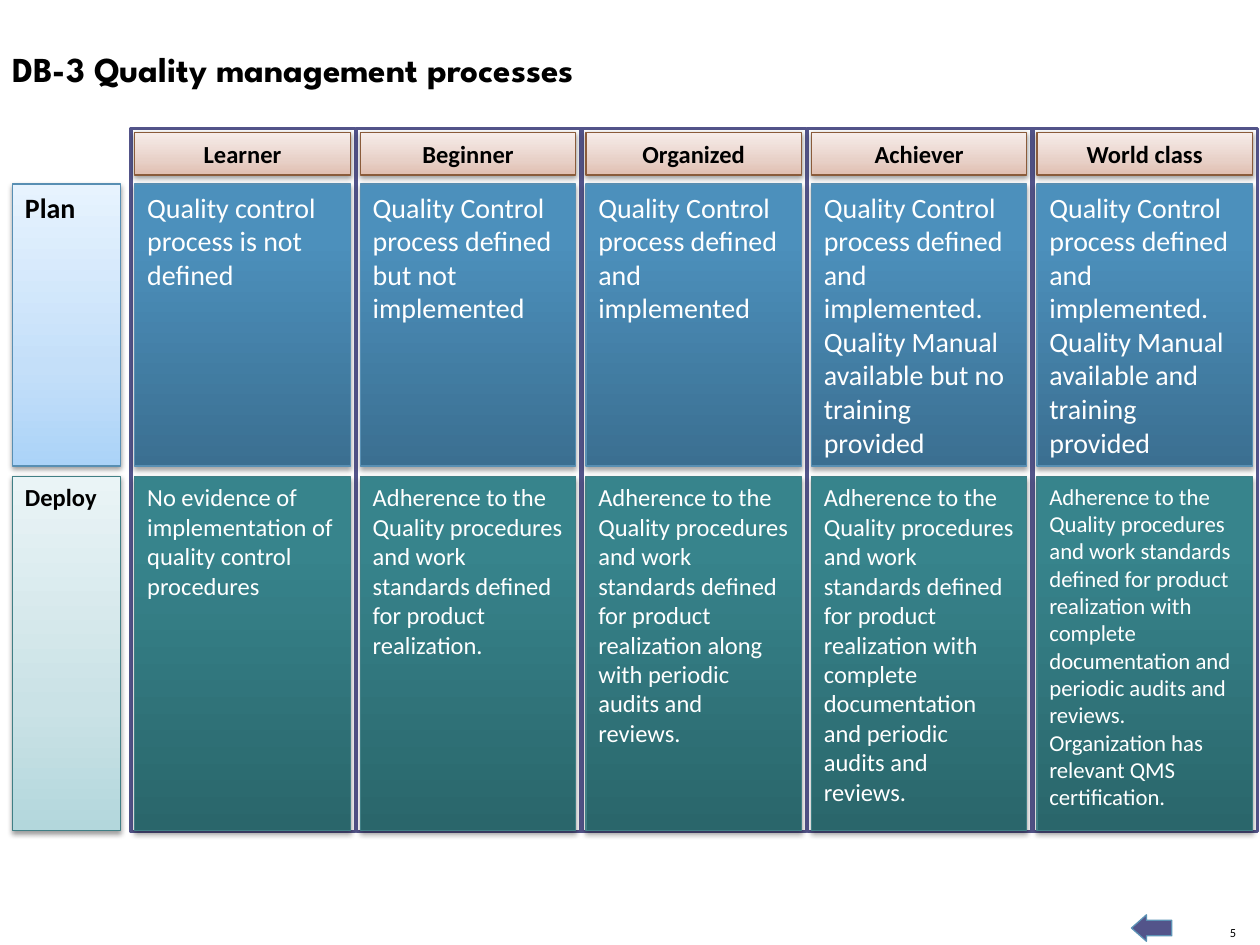
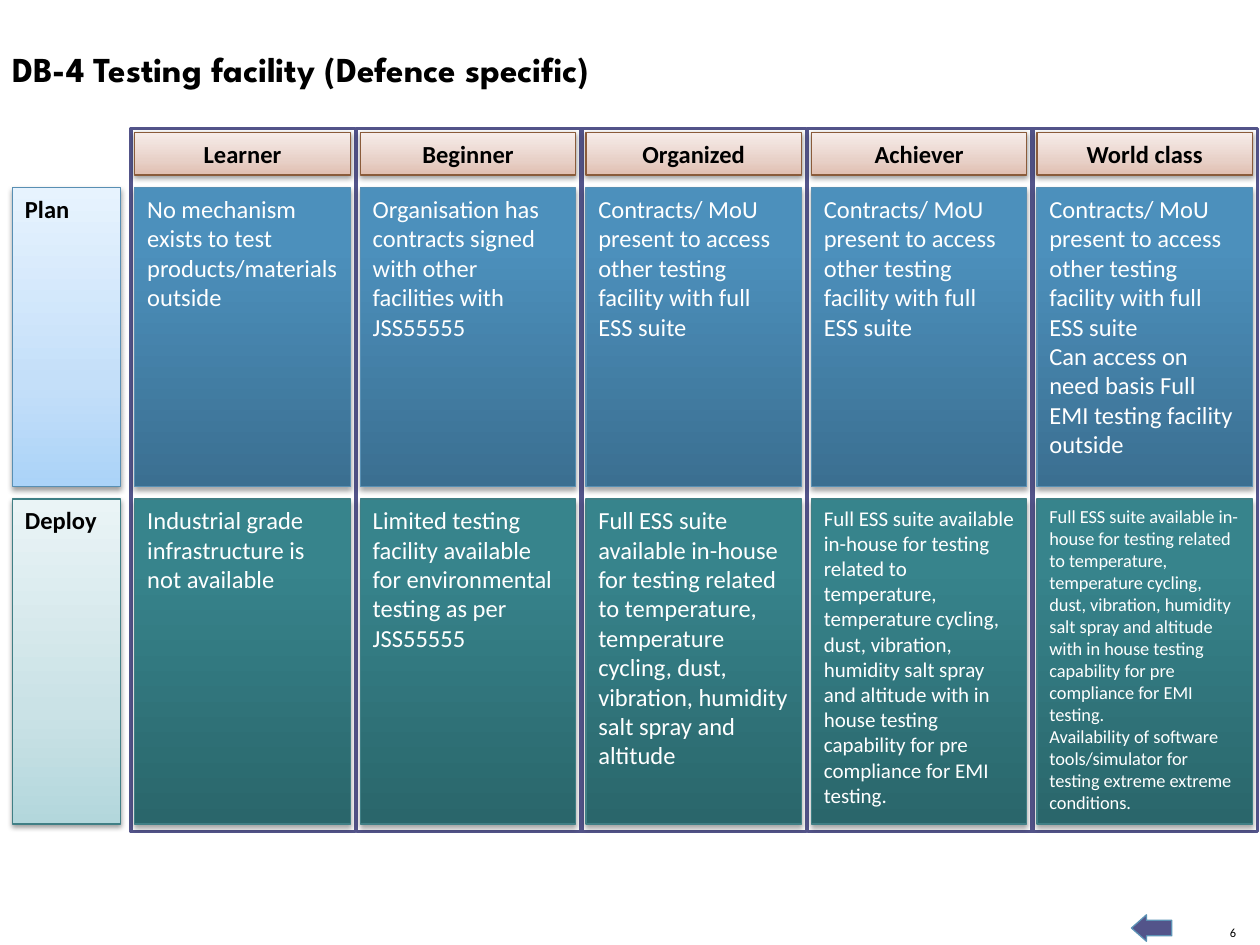
from dataclasses import dataclass
from typing import NamedTuple

from lxml import etree
from pptx import Presentation
from pptx.dml.color import RGBColor
from pptx.enum.shapes import MSO_SHAPE
from pptx.enum.text import MSO_ANCHOR, MSO_AUTO_SIZE, PP_ALIGN
from pptx.oxml.ns import qn
from pptx.util import Inches, Pt

RECT, ARROW = MSO_SHAPE.RECTANGLE, MSO_SHAPE.RIGHT_ARROW
LEFT, CENTER, RIGHT = PP_ALIGN.LEFT, PP_ALIGN.CENTER, PP_ALIGN.RIGHT
TOP, MIDDLE, BOTTOM = MSO_ANCHOR.TOP, MSO_ANCHOR.MIDDLE, MSO_ANCHOR.BOTTOM
GROW = MSO_AUTO_SIZE.SHAPE_TO_FIT_TEXT


class Look(NamedTuple):
    """Gradient stops from the bottom up, with outline and shadow."""
    stops: tuple
    line: str
    alpha: int = 38
    drop: float = 1.6


@dataclass(frozen=True)
class Theme:
    body: str = "Calibri"
    head: str = "League Spartan"
    black: str = "000000"
    white: str = "FFFFFF"
    frame: str = "53548A"
    edge: str = "5C92B5"
    title_size: float = 20
    text_size: float = 14
    page_size: float = 7.1
    thin: float = 0.75
    thick: float = 2
    blur: float = 3.1
    level: Look = Look(((0, "E0BEB0"), (35, "E8D1C8"), (100, "F7EDEA")), "8A5B3A")
    plan_tag: Look = Look(((0, "ABD3F8"), (35, "C4DFF9"), (100, "E7F3FE")), "588FB3")
    plan: Look = Look(((0, "3B6F91"), (80, "4C90BC"), (100, "4A91BF")), "588FB3", 35, 1.8)
    deploy_tag: Look = Look(((0, "B3D7DC"), (35, "CAE2E6"), (100, "EAF4F6")), "407F85")
    deploy: Look = Look(((0, "2A666B"), (80, "37848C"), (100, "36868E")), "407F85", 35, 1.8)


THEME = Theme()


class Box(NamedTuple):
    x: float
    y: float
    w: float
    h: float

    def lengths(self) -> tuple:
        return tuple(Inches(side) for side in self)


class Cell(NamedTuple):
    text: str
    size: float = THEME.text_size


@dataclass
class Row:
    tag: Cell
    y: float
    h: float
    cells: list


@dataclass
class Page:
    number: int
    title: str
    plan: Row
    deploy: Row


# Shared grid
LEVELS = ("Learner", "Beginner", "Organized", "Achiever", "World class")
FIRST, STEP, WIDE = 1.07, 1.79, 1.71
TAG_X, TAG_W = 0.1, 0.86
FRAME = Box(1.04, 1.02, 1.78, 5.58)


def column(i: int, y: float, h: float) -> Box:
    return Box(FIRST + i * STEP, y, WIDE, h)


def write(shape, text: str, *, size: float = THEME.text_size, font: str = THEME.body,
          color: str = THEME.black, bold: bool = False, align=LEFT, anchor=TOP,
          wrap: bool = True, inset: bool = True, fit=None) -> None:
    frame = shape.text_frame
    frame.word_wrap, frame.vertical_anchor = wrap, anchor
    if fit is not None:
        frame.auto_size = fit
    if not inset:
        frame.margin_left = frame.margin_right = 0
        frame.margin_top = frame.margin_bottom = 0
    for i, part in enumerate(text.split("\n")):
        para = frame.add_paragraph() if i else frame.paragraphs[0]
        para.alignment = align
        run = para.add_run()
        run.text = part
        run.font.name, run.font.size, run.font.bold = font, Pt(size), bold
        run.font.color.rgb = RGBColor.from_string(color)


def add_color(parent, color: str):
    return etree.SubElement(parent, qn("a:srgbClr"), val=color)


def draw_shape(slide, kind, box: Box, line: str, width: float = THEME.thin,
               fill: str = THEME.white):
    shape = slide.shapes.add_shape(kind, *box.lengths())
    shape.shadow.inherit = False
    shape.fill.solid()
    shape.fill.fore_color.rgb = RGBColor.from_string(fill)
    shape.line.color.rgb = RGBColor.from_string(line)
    shape.line.width = Pt(width)
    return shape


def draw_card(slide, box: Box, look: Look):
    shape = draw_shape(slide, RECT, box, look.line)
    # Three-stop gradient
    shape.fill.gradient()
    shape.fill.gradient_angle = 90
    stops = shape.element.spPr.find(".//" + qn("a:gsLst"))
    for old in list(stops):
        stops.remove(old)
    for place, color in look.stops:
        add_color(etree.SubElement(stops, qn("a:gs"), pos=str(place * 1000)), color)
    # Soft shadow straight below
    effects = shape.element.spPr.find(qn("a:effectLst"))
    shade = etree.SubElement(effects, qn("a:outerShdw"), blurRad=str(Pt(THEME.blur)),
                             dist=str(Pt(look.drop)), dir="5400000", rotWithShape="0")
    tint = add_color(shade, THEME.black)
    etree.SubElement(tint, qn("a:alpha"), val=str(look.alpha * 1000))
    return shape


def draw_base(slide, page: Page) -> None:
    # Page number, back arrow and title
    number = slide.shapes.add_textbox(*Box(9.69, 7.34, 0.12, 0.12).lengths())
    write(number, str(page.number), size=THEME.page_size, align=RIGHT, anchor=BOTTOM,
          wrap=False, inset=False, fit=GROW)
    arrow = draw_shape(slide, ARROW, Box(8.98, 7.26, 0.32, 0.21), THEME.edge,
                       fill=THEME.frame)
    arrow.rotation = 180
    arrow.adjustments[0], arrow.adjustments[1] = 0.588, 0.565
    title = slide.shapes.add_textbox(*Box(0, 0.33, 8.6, 0.44).lengths())
    write(title, page.title, size=THEME.title_size, font=THEME.head, bold=True, fit=GROW)


def draw_page(deck, page: Page) -> None:
    slide = deck.slides.add_slide(deck.slide_layouts[6])
    draw_base(slide, page)
    # Row tags
    rows = ((page.plan, THEME.plan_tag, THEME.plan),
            (page.deploy, THEME.deploy_tag, THEME.deploy))
    for row, look, _ in rows:
        tag = draw_card(slide, Box(TAG_X, row.y, TAG_W, row.h), look)
        write(tag, row.tag.text, size=row.tag.size, bold=True)
    # Column frames
    for i in range(len(LEVELS)):
        draw_shape(slide, RECT, FRAME._replace(x=FRAME.x + i * STEP),
                   THEME.frame, THEME.thick)
    # Cells
    for row, _, look in rows:
        for i, cell in enumerate(row.cells):
            card = draw_card(slide, column(i, row.y, row.h), look)
            write(card, cell.text, size=cell.size, color=THEME.white)
    # Level heads
    for i, level in enumerate(LEVELS):
        head = draw_card(slide, column(i, 1.05, 0.34), THEME.level)
        write(head, level, bold=True, align=CENTER, anchor=MIDDLE)


# Wording that several cells share
QC = "Quality Control process defined"
MANUAL = QC + " and implemented. Quality Manual available"
ADHERE = ("Adherence to the Quality procedures and work standards defined "
          "for product realization")
AUDITS = ADHERE + " with complete documentation and periodic audits and reviews."
ACCESS = "Contracts/ MoU present to access other testing facility with full ESS suite"
SUITE = ("Full ESS suite available in-house for testing related to temperature, "
         "temperature cycling, dust, vibration, humidity salt spray and altitude")
EMI = SUITE + " with in house testing capability for pre compliance for EMI testing."

PAGES = (
    Page(5, "DB-3 Quality management processes",
         Row(Cell("Plan", 16), 1.46, 2.24, [
             Cell("Quality control process is not defined", 16),
             Cell(QC + " but not implemented", 16),
             Cell(QC + " and implemented", 16),
             Cell(MANUAL + " but no training provided", 16),
             Cell(MANUAL + " and training provided", 16)]),
         Row(Cell("Deploy"), 3.78, 2.81, [
             Cell("No evidence of implementation of quality control procedures"),
             Cell(ADHERE + "."),
             Cell(ADHERE + " along with periodic audits and reviews."),
             Cell(AUDITS),
             Cell(AUDITS + " Organization has relevant QMS certification.", 13)])),
    Page(6, "DB-4 Testing facility (Defence specific)",
         Row(Cell("Plan"), 1.49, 2.37, [
             Cell("No mechanism exists to test products/materials outside"),
             Cell("Organisation has contracts signed with other facilities with JSS55555"),
             Cell(ACCESS),
             Cell(ACCESS),
             Cell(ACCESS + "\nCan access on need basis Full EMI testing facility outside")]),
         Row(Cell("Deploy"), 3.96, 2.58, [
             Cell("Industrial grade infrastructure is not available"),
             Cell("Limited testing facility available for environmental testing "
                  "as per JSS55555"),
             Cell(SUITE),
             Cell(EMI, 12),
             Cell(EMI + "\nAvailability of software tools/simulator for testing "
                  "extreme extreme conditions.", 10.5)])),
)


def main() -> None:
    deck = Presentation()
    deck.slide_width, deck.slide_height = Inches(10), Inches(7.5)
    for page in PAGES:
        draw_page(deck, page)
    deck.save("out.pptx")


if __name__ == "__main__":
    main()
